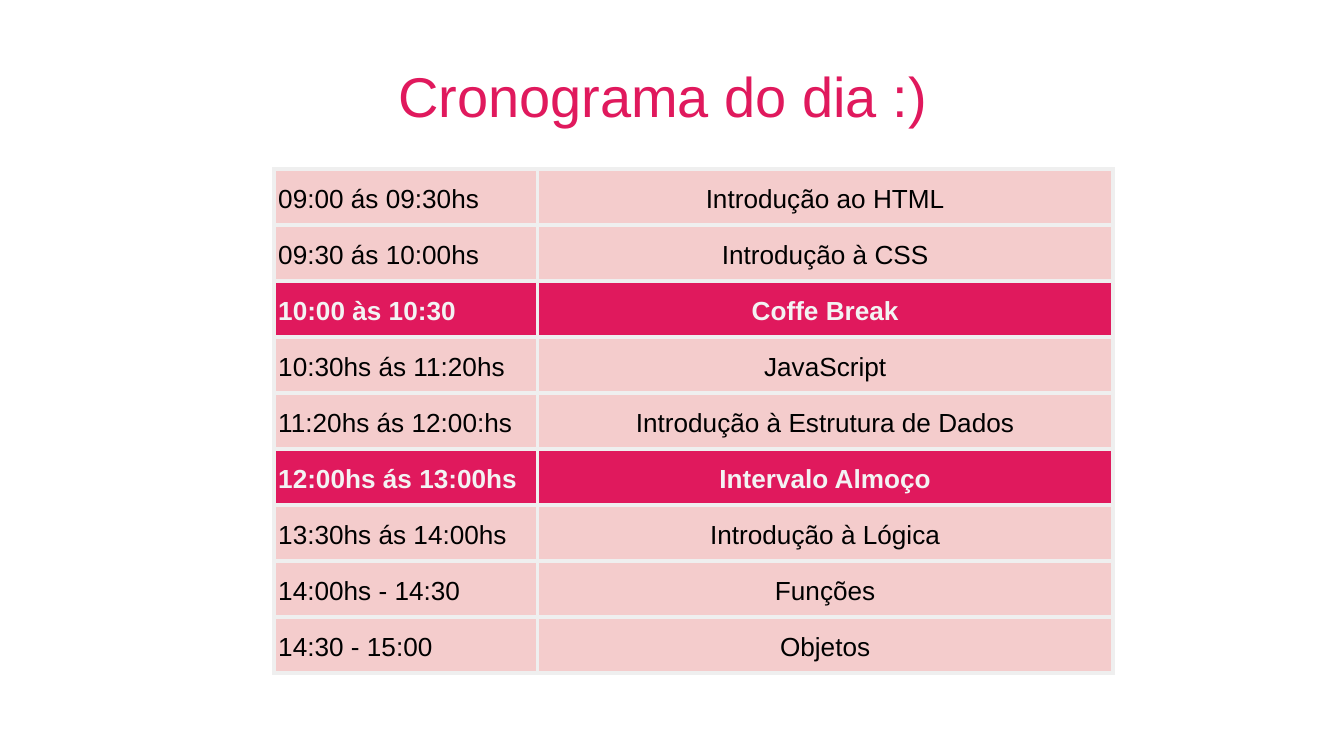
import pptx
import pptx.dml.color
import pptx.enum.text
import pptx.oxml
import pptx.oxml.ns
import pptx.util
from pptx.util import Inches

COLORS = {
    "accent": "E0195D",
    "row": "F4CCCC",
    "border": "EFEFEF",
    "text": "000000",
    "light": "F3F3F3",
}
ALIGN = pptx.enum.text.PP_ALIGN
ANCHOR = pptx.enum.text.MSO_ANCHOR

SCHEDULE = [
    ("09:00 ás 09:30hs", "Introdução ao HTML"),
    ("09:30 ás 10:00hs", "Introdução à CSS"),
    ("10:00 às 10:30", "Coffe Break"),
    ("10:30hs ás 11:20hs", "JavaScript"),
    ("11:20hs ás 12:00:hs", "Introdução à Estrutura de Dados"),
    ("12:00hs ás 13:00hs", "Intervalo Almoço"),
    ("13:30hs ás 14:00hs", "Introdução à Lógica"),
    ("14:00hs - 14:30", "Funções"),
    ("14:30 - 15:00", "Objetos"),
]
BREAKS = {"Coffe Break", "Intervalo Almoço"}


def write_text(text_frame, text, size=14, color="text", bold=False, align=ALIGN.LEFT, spacing=1.0):
    paragraph = text_frame.paragraphs[0]
    paragraph.alignment = align
    paragraph.line_spacing = spacing
    run = paragraph.add_run()
    run.text = text
    run.font.name = "Arial"
    run.font.size = pptx.util.Pt(size)
    run.font.bold = bold
    run.font.color.rgb = pptx.dml.color.RGBColor.from_string(COLORS[color])


class ScheduleSlide:
    def __init__(self, presentation):
        self.border_width = pptx.util.Pt(2.25)
        self.slide = presentation.slides.add_slide(presentation.slide_layouts[5])

    def title(self, text, left, top, width, height):
        shape = self.slide.shapes.title
        shape.left, shape.top = Inches(left), Inches(top)
        shape.width, shape.height = Inches(width), Inches(height)
        text_frame = shape.text_frame
        text_frame.auto_size = pptx.enum.text.MSO_AUTO_SIZE.NONE
        text_frame.vertical_anchor = ANCHOR.TOP
        text_frame.margin_left = text_frame.margin_right = Inches(0.1)
        text_frame.margin_top = text_frame.margin_bottom = Inches(0.1)
        write_text(text_frame, text, size=30, color="accent", align=ALIGN.CENTER)

    def table(self, rows, left, top, widths, height):
        frame = self.slide.shapes.add_table(
            len(rows), len(widths), Inches(left), Inches(top), Inches(sum(widths)), Inches(height)
        )
        table = frame.table
        table.first_row = table.horz_banding = False
        for column, width in zip(table.columns, widths):
            column.width = Inches(width)
        for row_index, row in enumerate(rows):
            is_break = row[1] in BREAKS
            for column_index, text in enumerate(row):
                cell = table.cell(row_index, column_index)
                align = ALIGN.CENTER if column_index else ALIGN.LEFT
                self.cell(cell, text, is_break, align)

    def cell(self, cell, text, is_break, align):
        cell.margin_left = cell.margin_right = Inches(0.03)
        cell.margin_top = cell.margin_bottom = Inches(0.02)
        cell.vertical_anchor = ANCHOR.MIDDLE
        write_text(
            cell.text_frame, text, color="light" if is_break else "text",
            bold=is_break, align=align, spacing=1.15,
        )
        self.cell_borders(cell)
        cell.fill.solid()
        fill_color = COLORS["accent" if is_break else "row"]
        cell.fill.fore_color.rgb = pptx.dml.color.RGBColor.from_string(fill_color)

    def cell_borders(self, cell):
        properties = cell._tc.get_or_add_tcPr()
        for side in ("lnL", "lnR", "lnT", "lnB"):
            properties.append(pptx.oxml.parse_xml(
                f'<a:{side} {pptx.oxml.ns.nsdecls("a")} w="{self.border_width}">'
                f'<a:solidFill><a:srgbClr val="{COLORS["border"]}"/></a:solidFill></a:{side}>'
            ))


def main():
    presentation = pptx.Presentation()
    presentation.slide_width = Inches(10)
    presentation.slide_height = presentation.slide_width * 9 // 16
    schedule_slide = ScheduleSlide(presentation)
    schedule_slide.title("Cronograma do dia :)", 0.68, 0.36, 8.5, 0.86)
    schedule_slide.table(SCHEDULE, 2.04, 1.26, (1.96, 4.28), 3.75)
    presentation.save("out.pptx")


if __name__ == "__main__":
    main()
